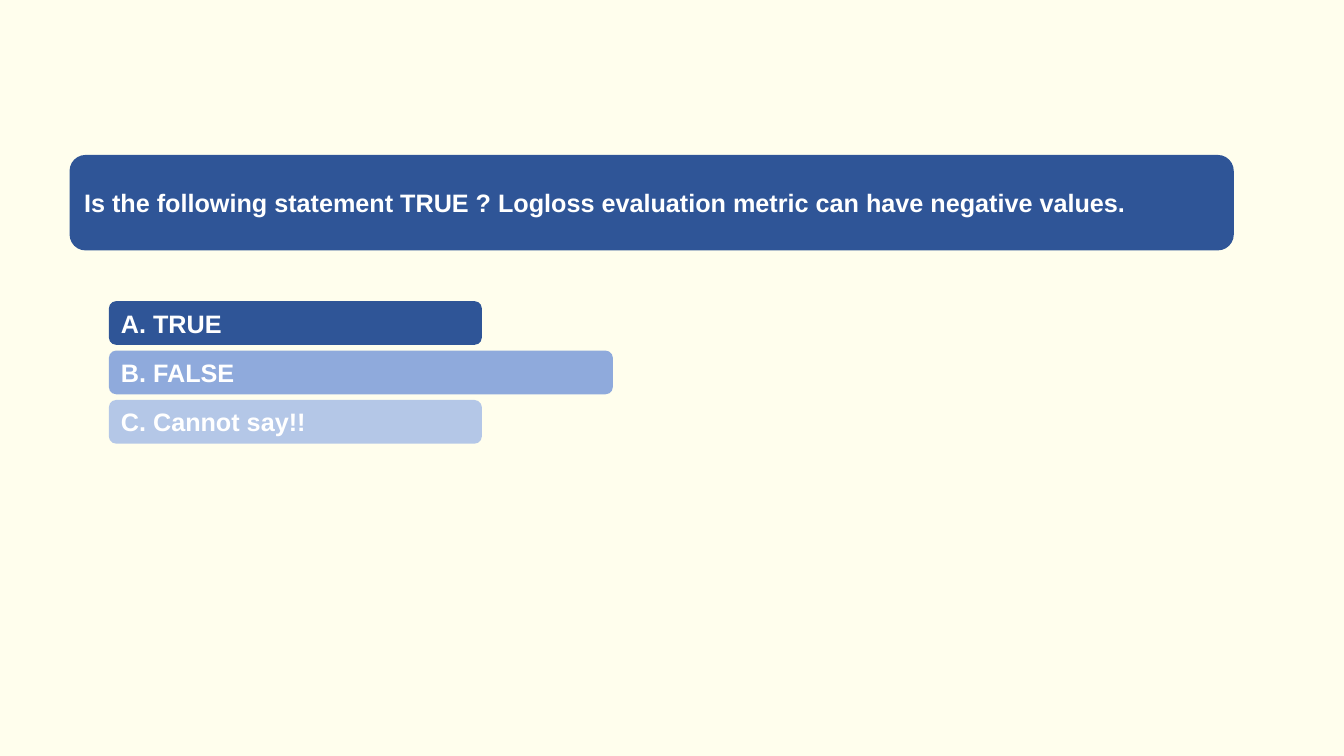
from dataclasses import dataclass

from pptx import Presentation
from pptx.dml.color import RGBColor
from pptx.enum.shapes import MSO_SHAPE
from pptx.enum.text import MSO_ANCHOR, PP_ALIGN
from pptx.slide import Slide
from pptx.util import Pt

ROUNDED = MSO_SHAPE.ROUNDED_RECTANGLE
MIDDLE = MSO_ANCHOR.MIDDLE
LEFT = PP_ALIGN.LEFT

CREAM = "FFFEED"
WHITE = "FFFFFF"
NAVY = "2F5597"
ANSWER_LEFT, ANSWER_TOP = 77.8, 215.1
ANSWER_HEIGHT, ANSWER_STEP = 31.2, 35.3


@dataclass(frozen=True)
class Banner:
    text: str
    left: float
    top: float
    width: float
    height: float
    color: str


@dataclass(frozen=True)
class Answer:
    text: str
    width: float
    color: str


QUESTION = Banner(
    "Is the following statement TRUE ? Logloss evaluation metric can have negative values.",
    49.7, 110.7, 831.6, 68.2, NAVY,
)
ANSWERS = [
    Answer("A. TRUE", 266.4, NAVY),
    Answer("B. FALSE", 360, "8FAADC"),
    Answer("C. Cannot say!!", 266.4, "B4C7E7"),
]


def rgb(value: str) -> RGBColor:
    return RGBColor.from_string(value)


def draw_banner(slide: Slide, banner: Banner) -> None:
    panel = slide.shapes.add_shape(
        ROUNDED, Pt(banner.left), Pt(banner.top), Pt(banner.width), Pt(banner.height)
    )
    panel.shadow.inherit = False
    panel.fill.solid()
    panel.fill.fore_color.rgb = rgb(banner.color)
    panel.line.fill.background()
    frame = panel.text_frame
    frame.word_wrap = True
    frame.vertical_anchor = MIDDLE
    wording = frame.paragraphs[0]
    wording.text = banner.text
    wording.alignment = LEFT
    wording.font.name = "Arial"
    wording.font.size = Pt(18)
    wording.font.bold = True
    wording.font.color.rgb = rgb(WHITE)


def main() -> None:
    deck = Presentation()
    deck.slide_width, deck.slide_height = Pt(960), Pt(540)
    quiz = deck.slides.add_slide(deck.slide_layouts[6])
    quiz.background.fill.solid()
    quiz.background.fill.fore_color.rgb = rgb(CREAM)

    draw_banner(quiz, QUESTION)
    for index, answer in enumerate(ANSWERS):
        top = ANSWER_TOP + index * ANSWER_STEP
        draw_banner(
            quiz,
            Banner(answer.text, ANSWER_LEFT, top, answer.width, ANSWER_HEIGHT, answer.color),
        )
    deck.save("out.pptx")


if __name__ == "__main__":
    main()
